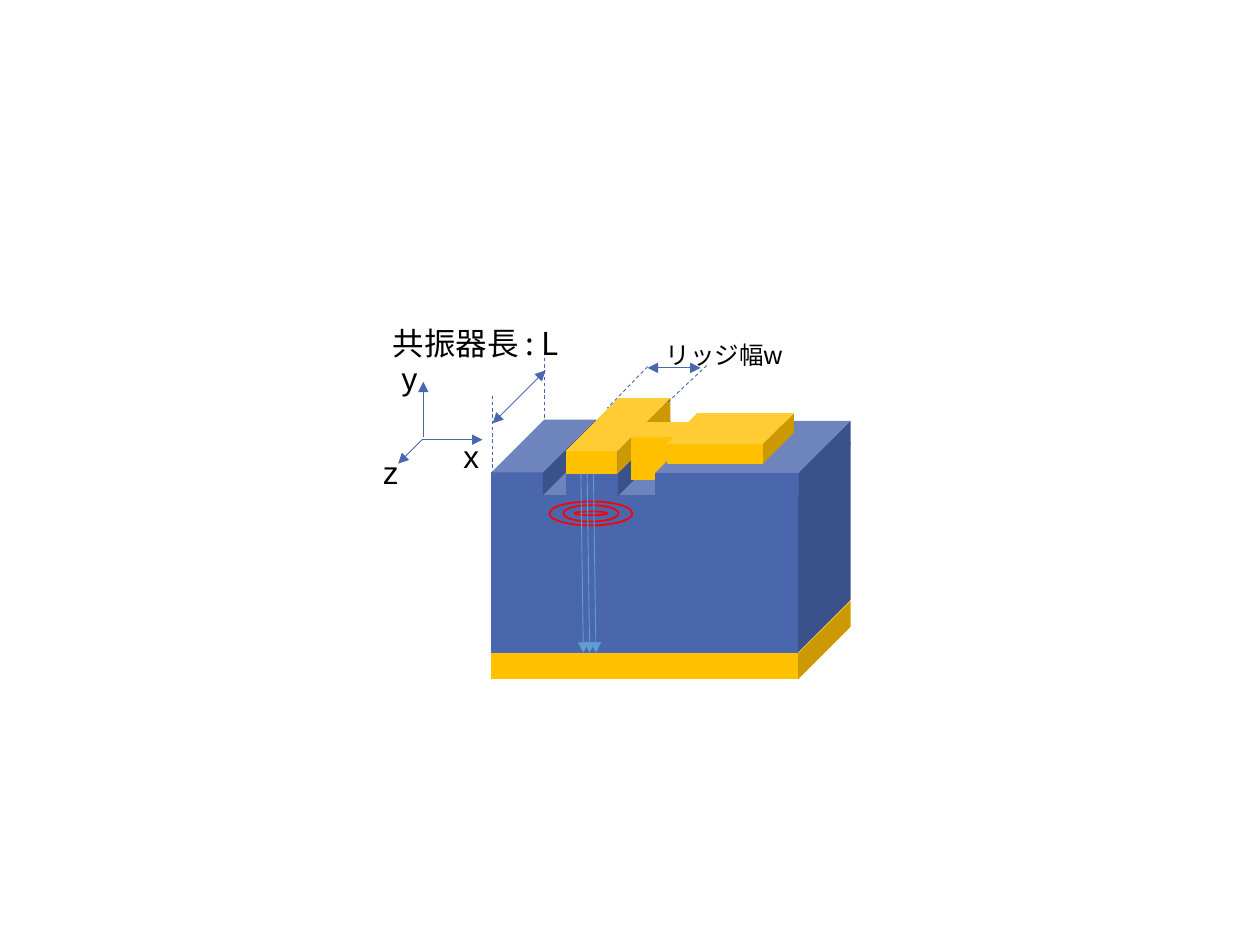
from lxml import etree
from pptx import Presentation
from pptx import util as u
from pptx.dml.color import RGBColor
from pptx.enum import dml, shapes, text
from pptx.oxml.ns import qn

HUES = {"blue": "4A66AC", "gold": "FFC000", "red": "FF0000",
        "sky": "629DD1", "ink": "000000"}
JP = "Noto Sans CJK JP"

deck = Presentation()
deck.slide_width, deck.slide_height = u.Inches(10), u.Inches(7.5)
slide = deck.slides.add_slide(deck.slide_layouts[6])
parts = slide.shapes
# Grid: 1000 columns by 750 rows of square cells
cell = deck.slide_width // 1000


def write(words, x, y, w, h, size=18, face="Arial", hue="ink"):
    """Add a text box at a grid place."""
    box = parts.add_textbox(x * cell, y * cell, w * cell, h * cell)
    box.text_frame.word_wrap = True
    box.text_frame.auto_size = text.MSO_AUTO_SIZE.SHAPE_TO_FIT_TEXT
    run = box.text_frame.paragraphs[0].add_run()
    run.text = words
    run.font.size, run.font.name = u.Pt(size), face
    run.font.color.rgb = RGBColor.from_string(HUES[hue])
    if face == JP:
        east = etree.SubElement(run.font._element, qn("a:ea"))
        east.set("typeface", face)


def rule(x1, y1, x2, y2, hue="blue", dash=False, ends=()):
    """Add a thin line, with arrowheads at the named ends."""
    line = parts.add_connector(shapes.MSO_CONNECTOR.STRAIGHT,
                               x1 * cell, y1 * cell, x2 * cell, y2 * cell)
    line.line.color.rgb = RGBColor.from_string(HUES[hue])
    line.line.width = u.Pt(0.5)
    if dash:
        line.line.dash_style = dml.MSO_LINE.DASH
    for end in ends:
        etree.SubElement(line.line._ln, qn(f"a:{end}")).set("type", "triangle")
    etree.SubElement(line._element.spPr, qn("a:effectLst"))


both, tip = ("headEnd", "tailEnd"), ("tailEnd",)

# Rear guide of the length mark, and ridge label
rule(432, 279, 432, 410, dash=True)
write(" リッジ幅w", 514, 265, 152, 34, size=14, face=JP)

# Laser chip, from back to front: x, y, width, height, depth ratio, hue
blocks = [
    (390, 477, 285, 62, 0.67, "gold"),   # bottom electrode
    (390, 351, 285, 167, 0.25, "blue"),  # substrate
    (449, 334, 83, 60, 0.7, "blue"),     # ridge
    (390, 333, 83, 60, 0.7, "blue"),     # left bank
    (449, 316, 83, 60, 0.7, "gold"),     # ridge electrode
    (501, 335, 49, 46, 0.26, "gold"),    # bridge
    (520, 334, 155, 60, 0.69, "blue"),   # right bank
    (529, 328, 101, 40, 0.61, "gold"),   # pad
]
for x, y, w, h, deep, hue in blocks:
    cube = parts.add_shape(shapes.MSO_SHAPE.CUBE,
                           x * cell, y * cell, w * cell, h * cell)
    cube.shadow.inherit = False
    cube.adjustments[0] = deep
    cube.fill.solid()
    cube.fill.fore_color.rgb = RGBColor.from_string(HUES[hue])
    cube.line.fill.background()

# Light mode: rings about one centre
mid, row = 469, 407.5
for w, h in [(44, 13), (26, 3), (66, 19)]:
    ring = parts.add_shape(shapes.MSO_SHAPE.OVAL, int((mid - w / 2) * cell),
                           int((row - h / 2) * cell), w * cell, h * cell)
    ring.shadow.inherit = False
    ring.fill.background()
    ring.line.color.rgb = RGBColor.from_string(HUES["red"])
    ring.line.width = u.Pt(1)

# Ridge width mark
rule(514, 292, 556, 292, ends=both)
rule(514, 291, 482, 324, dash=True)
rule(561, 290, 528, 321, dash=True)

# Current flow
for x in range(461, 472, 5):
    rule(x, 376, x + 2, 518, hue="sky", ends=tip)

# Cavity length mark
write("共振器長 : L", 302, 252, 205, 40, face=JP)
rule(391, 336, 433, 294, ends=both)
rule(391, 314, 391, 446, dash=True)

# Axes
rule(336, 347, 336, 303, ends=tip)
rule(335, 349, 316, 368, ends=tip)
rule(335, 349, 383, 349, ends=tip)
for name, x, y in [("x", 358, 342), ("y", 309, 280), ("z", 294, 355)]:
    write(name, x, y, 40, 40)

deck.save("out.pptx")
